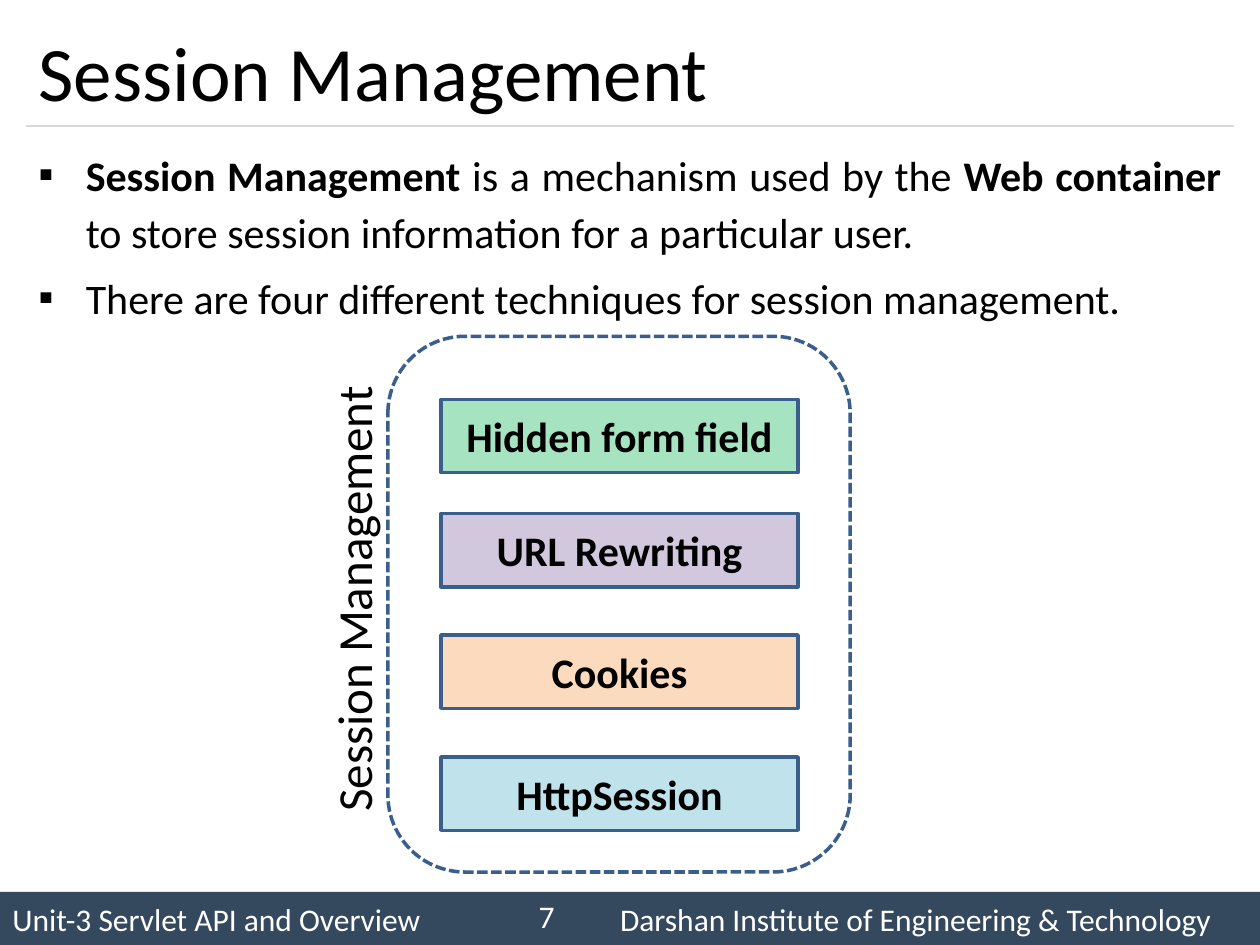
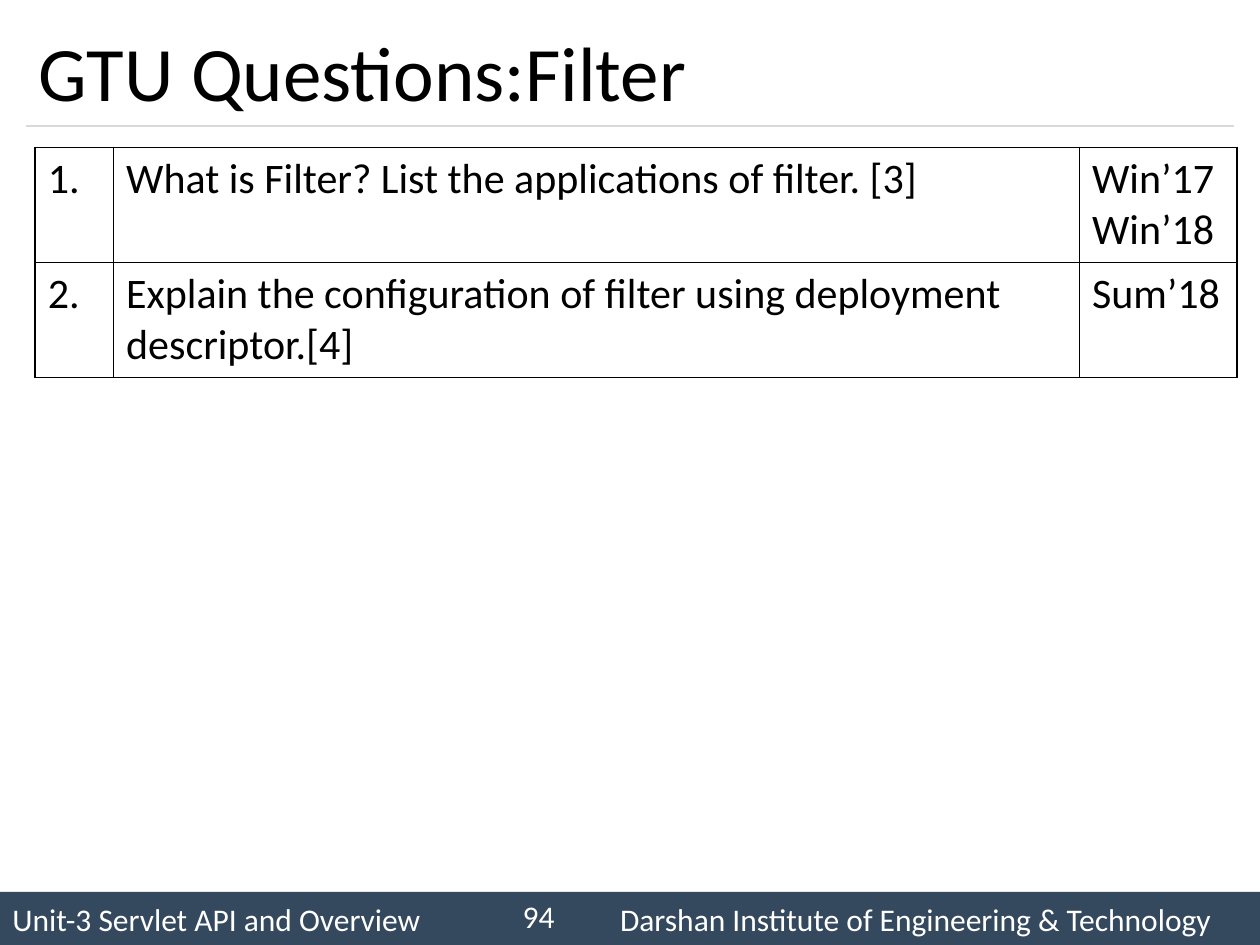
from lxml import etree
from pptx import Presentation
from pptx.dml.color import RGBColor
from pptx.enum.dml import MSO_LINE
from pptx.enum.shapes import MSO_CONNECTOR, MSO_SHAPE
from pptx.enum.text import MSO_ANCHOR, PP_ALIGN
from pptx.oxml.ns import qn
from pptx.util import Cm, Pt

RECT, ROUND = MSO_SHAPE.RECTANGLE, MSO_SHAPE.ROUNDED_RECTANGLE
LINE, DASH = MSO_CONNECTOR.STRAIGHT, MSO_LINE.SQUARE_DOT
TOP, MID = MSO_ANCHOR.TOP, MSO_ANCHOR.MIDDLE
LEFT, RIGHT = PP_ALIGN.LEFT, PP_ALIGN.RIGHT
CENTER, JUST = PP_ALIGN.CENTER, PP_ALIGN.JUSTIFY
FONT = "Calibri"
HUES = {
    "text": "000000", "white": "FFFFFF", "band": "34495E",
    "rule": "D9D9D9", "edge": "3A5F8C", "green": "00B050",
    "violet": "8064A2", "orange": "F79646", "blue": "4BACC6",
}


def color(name):
    return RGBColor.from_string(HUES[name])


def write(frame, text, size=24, hue="text", bold=False, align=LEFT,
          anchor=TOP, bullet=None, tab=None, spacing=None, before=0):
    """Write one paragraph per line; parts between ** are bold."""
    frame.word_wrap = True
    frame.vertical_anchor = anchor
    for i, row in enumerate(text.split("\n")):
        para = frame.add_paragraph() if i else frame.paragraphs[0]
        props = para._p.get_or_add_pPr()
        if bullet:
            props.set("marL", str(Cm(0.95)))
            props.set("indent", str(-Cm(0.95)))
            etree.SubElement(props, qn("a:buFont"), typeface="Wingdings")
            etree.SubElement(props, qn("a:buFont")).set("typeface", FONT)
            props.remove(props[0])
            etree.SubElement(props, qn("a:buChar"), char=bullet)
        if tab:
            stops = etree.SubElement(props, qn("a:tabLst"))
            etree.SubElement(stops, qn("a:tab"), pos=str(tab), algn="l")
        para.alignment = align
        if spacing:
            para.line_spacing = spacing
        if i:
            para.space_before = Pt(before)
        for j, part in enumerate(row.split("**")):
            if part:
                run = para.add_run()
                run.text = part
                run.font.name, run.font.size = FONT, Pt(size)
                run.font.bold = bold or j % 2 == 1
                run.font.color.rgb = color(hue)


deck = Presentation()
deck.slide_width, deck.slide_height = Cm(25.4), Cm(19.05)

# Shared title, rule and footer
pages = []
for title, number in (("Session Management", "7"), ("GTU Questions:Filter", "94")):
    page = deck.slides.add_slide(deck.slide_layouts[6])
    shapes = page.shapes
    pages.append(shapes)

    band = shapes.add_shape(RECT, 0, Cm(17.98), Cm(25.4), Cm(1.07))
    band.shadow.inherit = False
    band.fill.solid()
    band.fill.fore_color.rgb = color("band")
    band.line.fill.background()
    write(band.text_frame,
          "Unit-3 Servlet API and Overview\tDarshan Institute of Engineering & Technology",
          size=18, hue="white", anchor=MID, tab=Cm(12.25))

    rule = shapes.add_connector(LINE, Cm(0.53), Cm(2.54), Cm(24.87), Cm(2.54))
    rule.line.color.rgb = color("rule")
    rule.line.width = Pt(0.75)
    etree.SubElement(rule._element.spPr, qn("a:effectLst"))

    head = shapes.add_textbox(Cm(0.53), Cm(0.3), Cm(24.34), Cm(2.24))
    write(head.text_frame, title, size=44, anchor=MID)
    folio = shapes.add_textbox(Cm(9.73), Cm(17.96), Cm(1.7), Cm(1.02))
    write(folio.text_frame, number, size=18, hue="white", align=RIGHT, anchor=MID)

# Session management: bullets
shapes = pages[0]
body = shapes.add_textbox(Cm(0.53), Cm(2.74), Cm(24.34), Cm(14.81))
write(body.text_frame,
      "**Session Management** is a mechanism used by the **Web container**"
      " to store session information for a particular user.\n"
      "There are four different techniques for session management.",
      align=JUST, bullet="▪", spacing=1.14, before=4.8)

# Session management: dashed frame with four techniques
group = shapes.add_shape(ROUND, Cm(7.82), Cm(6.78), Cm(9.32), Cm(10.8))
group.shadow.inherit = False
group.fill.background()
group.line.color.rgb = color("edge")
group.line.width = Pt(2)
group.line.dash_style = DASH

for name, hue, top in (("Hidden form field", "green", 8.05),
                       ("URL Rewriting", "violet", 10.35),
                       ("Cookies", "orange", 12.8),
                       ("HttpSession", "blue", 15.26)):
    box = shapes.add_shape(RECT, Cm(8.89), Cm(top), Cm(7.2), Cm(1.48))
    box.shadow.inherit = False
    box.fill.solid()
    box.fill.fore_color.rgb = color(hue)
    tint = box._element.spPr.find(qn("a:solidFill"))[0]
    etree.SubElement(tint, qn("a:alpha"), val="35000")
    box.line.color.rgb = color("edge")
    box.line.width = Pt(2)
    write(box.text_frame, name, bold=True, align=CENTER, anchor=MID)

side = shapes.add_textbox(Cm(2.44), Cm(11.35), Cm(9.35), Cm(1.45))
side.rotation = 270
write(side.text_frame, "Session Management", size=28, align=CENTER)

# Filter questions: table
rows = (
    ("1.", "What is Filter? List the applications of filter. [3]", "Win’17\nWin’18"),
    ("2.", "Explain the configuration of filter using deployment descriptor.[4]",
     "Sum’18"),
)
grid = pages[1].add_table(2, 3, Cm(0.71), Cm(2.97), Cm(24.23), Cm(4.64)).table
grid.first_row = grid.horz_banding = False
for col, width in zip(grid.columns, (1.58, 19.47, 3.18)):
    col.width = Cm(width)
for r, row in enumerate(rows):
    for c, text in enumerate(row):
        cell = grid.cell(r, c)
        write(cell.text_frame, text)
        props = cell._tc.get_or_add_tcPr()
        for edge in ("lnL", "lnR", "lnT", "lnB"):
            line = etree.SubElement(props, qn("a:" + edge), w=str(Pt(1)))
            fill = etree.SubElement(line, qn("a:solidFill"))
            etree.SubElement(fill, qn("a:srgbClr"), val=HUES["text"])
        cell.fill.background()

deck.save("out.pptx")
